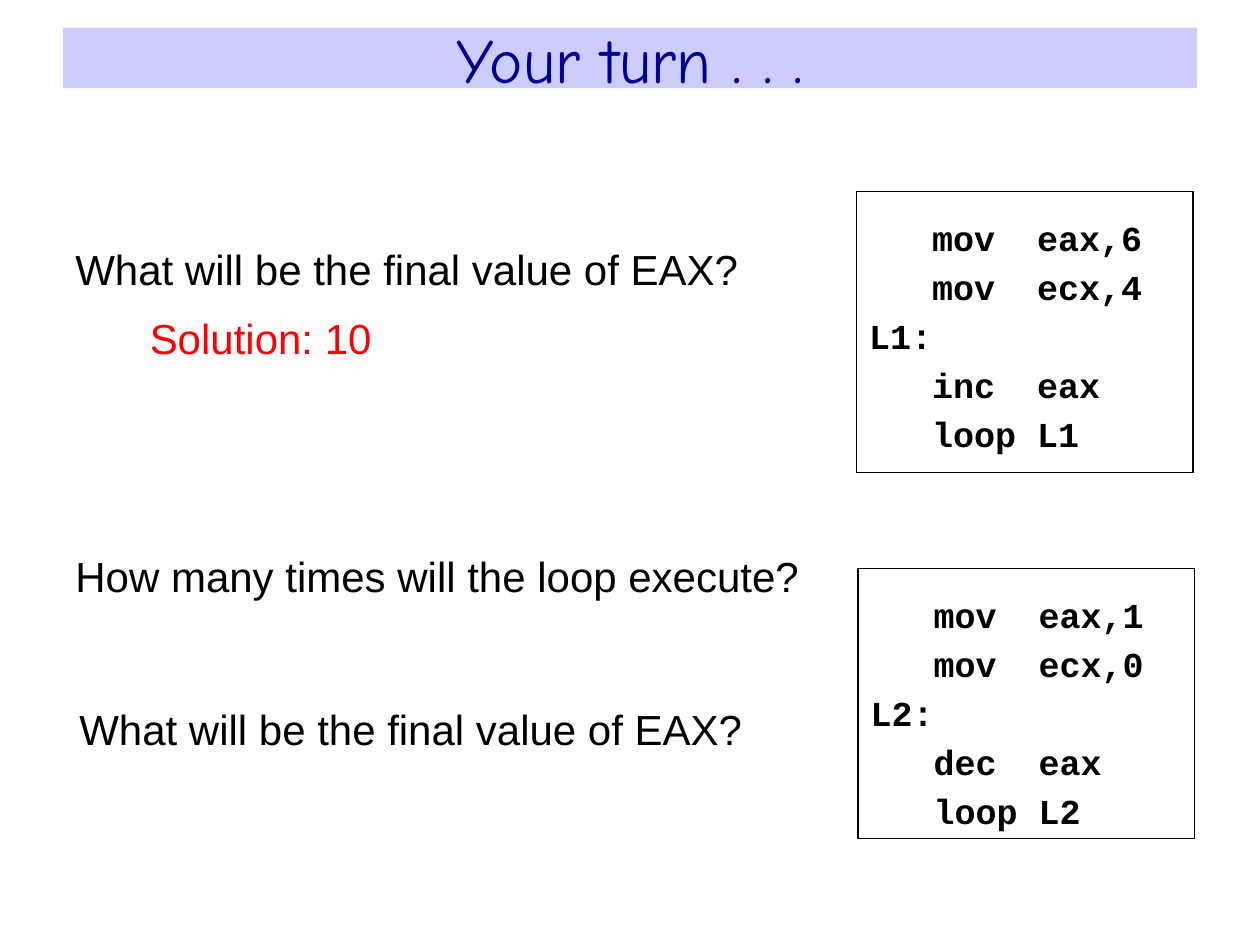
"""Build the "Your turn" slide with two loop exercises in assembly code."""
from dataclasses import dataclass

from lxml import etree
from pptx import Presentation
from pptx import util as u
from pptx.dml import color
from pptx.enum import shapes, text
from pptx.oxml import ns


@dataclass(frozen=True)
class Theme:
    band: str = "CCCCFF"
    heading: str = "000099"
    ink: str = "000000"
    answer: str = "FF0000"
    heading_font: tuple = ("Comic Neue", 36, False)
    question_font: tuple = ("Arial", 24, False)
    code_font: tuple = ("Courier New", 20, True)
    border: float = 0.75
    code_gap: float = 4


THEME = Theme()
CODE_TAB = u.Cm(1.27)
SIDE_INSET = u.Cm(0.25)


def rgb(value):
    return color.RGBColor.from_string(value)


def apply_format(target, values):
    for name, value in values.items():
        setattr(target, name, value)


def style_font(paragraph, font, ink):
    name, size, bold = font
    apply_format(paragraph.font, {"name": name, "size": u.Pt(size), "bold": bold})
    paragraph.font.color.rgb = rgb(ink)


def set_frame(frame, top_inset, anchor=text.MSO_ANCHOR.TOP):
    apply_format(frame, {
        "word_wrap": True,
        "vertical_anchor": anchor,
        "margin_left": SIDE_INSET,
        "margin_right": SIDE_INSET,
        "margin_top": top_inset,
        "margin_bottom": top_inset,
    })


def add_tab_stop(paragraph, position):
    properties = paragraph._p.get_or_add_pPr()
    stops = etree.SubElement(properties, ns.qn("a:tabLst"))
    etree.SubElement(stops, ns.qn("a:tab"), pos=str(position), algn="l")


def add_rectangle(slide, bounds):
    rectangle = slide.shapes.add_shape(shapes.MSO_SHAPE.RECTANGLE, *map(u.Cm, bounds))
    rectangle.shadow.inherit = False
    return rectangle


def add_heading(slide, words, bounds):
    band = add_rectangle(slide, bounds)
    band.fill.solid()
    band.fill.fore_color.rgb = rgb(THEME.band)
    band.line.fill.background()
    set_frame(band.text_frame, u.Cm(0.13), text.MSO_ANCHOR.MIDDLE)
    heading = band.text_frame.paragraphs[0]
    heading.text = words
    heading.alignment = text.PP_ALIGN.CENTER
    style_font(heading, THEME.heading_font, THEME.heading)


def add_statement(slide, words, left, top, width, ink=THEME.ink):
    statement = slide.shapes.add_textbox(*map(u.Cm, (left, top, width, 1.78)))
    set_frame(statement.text_frame, u.Cm(0.46))
    line = statement.text_frame.paragraphs[0]
    line.text = words
    style_font(line, THEME.question_font, ink)


def add_code(slide, source, bounds):
    listing = add_rectangle(slide, bounds)
    listing.fill.background()
    listing.line.color.rgb = rgb(THEME.ink)
    listing.line.width = u.Pt(THEME.border)
    frame = listing.text_frame
    set_frame(frame, u.Cm(0.51))
    for index, code in enumerate(source):
        line = frame.add_paragraph() if index else frame.paragraphs[0]
        add_tab_stop(line, CODE_TAB)
        line.text = code
        line.alignment = text.PP_ALIGN.LEFT
        line.space_before = u.Pt(THEME.code_gap if index else 0)
        style_font(line, THEME.code_font, THEME.ink)


def loop_source(label, start, count, step):
    return [f"\tmov  eax,{start}", f"\tmov  ecx,{count}", f"{label}:",
            f"\t{step}  eax", f"\tloop {label}"]


def main():
    deck = Presentation()
    deck.slide_width, deck.slide_height = u.Cm(25.4), u.Cm(19.05)
    slide = deck.slides.add_slide(deck.slide_layouts[6])
    final_value = "What will be the final value of EAX?"

    add_heading(slide, "Your turn . . .", (1.27, 0.56, 22.86, 1.22))
    add_statement(slide, final_value, 1.27, 4.45, 14.63)
    add_code(slide, loop_source("L1", 6, 4, "inc"), (17.27, 3.86, 6.78, 5.66))
    add_statement(slide, "How many times will the loop execute?", 1.27, 10.64, 15.27)
    add_code(slide, loop_source("L2", 1, 0, "dec"), (17.3, 11.46, 6.78, 5.44))
    add_statement(slide, "Solution: 10", 2.77, 5.84, 7.09, THEME.answer)
    add_statement(slide, final_value, 1.35, 13.72, 14.63)
    deck.save("out.pptx")


if __name__ == "__main__":
    main()
